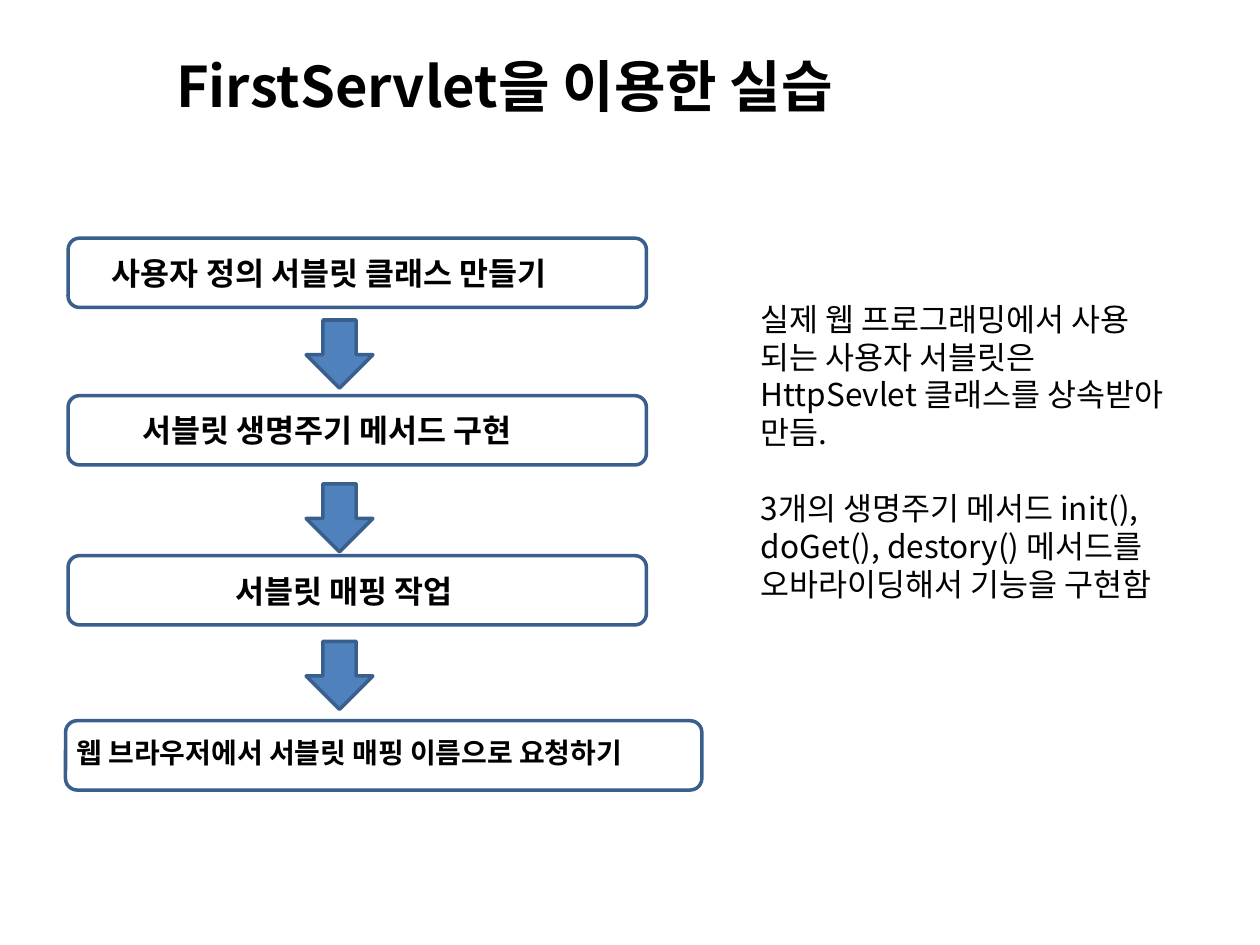
from lxml import etree
from pptx import Presentation
from pptx.dml.color import RGBColor
from pptx.enum.shapes import MSO_SHAPE
from pptx.enum.text import MSO_AUTO_SIZE
from pptx.oxml.ns import qn
from pptx.util import Inches, Pt

ROUNDED = MSO_SHAPE.ROUNDED_RECTANGLE
DOWN_ARROW = MSO_SHAPE.DOWN_ARROW
FIT_TEXT = MSO_AUTO_SIZE.SHAPE_TO_FIT_TEXT
FONT = "Noto Sans CJK KR"
BLACK, BLUE, OUTLINE = "000000", "4F81BD", "3A5F8C"

STEPS = [
    ("사용자 정의 서블릿 클래스 만들기", (0.54, 1.89, 4.59, 0.55), (0.25, 0.08, 4.09, 0.4), 18),
    ("서블릿 생명주기 메서드 구현", (0.54, 3.14, 4.59, 0.55), (0.49, 0.07, 3.5, 0.4), 18),
    ("서블릿 매핑 작업", (0.54, 4.41, 4.59, 0.55), (1.23, 0.08, 2.15, 0.4), 18),
    ("웹 브라우저에서 서블릿 매핑 이름으로 요청하기", (0.52, 5.72, 5.05, 0.55), (-0.01, 0.07, 5.08, 0.37), 16),
]
ARROW_TOPS = [2.54, 3.84, 5.09]
NOTES = [
    ["실제 웹 프로그래밍에서 사용", "되는 사용자 서블릿은", "HttpSevlet 클래스를 상속받아", "만듬."],
    ["3개의 생명주기 메서드 init(),", "doGet(), destory() 메서드를", "오바라이딩해서 기능을 구현함"],
]


def color(value):
    return RGBColor.from_string(value)


def lengths(box):
    return [Inches(value) for value in box]


def add_text(slide, box, groups, size, bold=False, group_gap=0):
    frame = slide.shapes.add_textbox(*lengths(box)).text_frame
    frame.word_wrap = False
    frame.auto_size = FIT_TEXT
    frame.text = "\n".join(line for group in groups for line in group)
    for paragraph in frame.paragraphs:
        font = paragraph.font
        font.name, font.size, font.bold = FONT, Pt(size), bold
        font.color.rgb = color(BLACK)
        properties = paragraph._p.pPr.find(qn("a:defRPr"))
        etree.SubElement(properties, qn("a:ea"), typeface=FONT)
    start = 0
    for group in groups[:-1]:
        start += len(group)
        frame.paragraphs[start].space_before = Pt(group_gap)


def add_outlined_shape(slide, kind, box, fill=None):
    shape = slide.shapes.add_shape(kind, *lengths(box))
    shape.shadow.inherit = False
    shape.line.color.rgb = color(OUTLINE)
    shape.line.width = Pt(2)
    if fill:
        shape.fill.solid()
        shape.fill.fore_color.rgb = color(fill)
    else:
        shape.fill.background()


def add_step(slide, box, label, label_box, size):
    left, top, width, height = label_box
    add_outlined_shape(slide, ROUNDED, box)
    add_text(slide, (box[0] + left, box[1] + top, width, height), [[label]], size, bold=True)


def add_flow(slide):
    for label, box, label_box, size in STEPS:
        add_step(slide, box, label, label_box, size)
    for top in ARROW_TOPS:
        add_outlined_shape(slide, DOWN_ARROW, (2.43, top, 0.53, 0.54), BLUE)


def main():
    presentation = Presentation()
    presentation.slide_width = Inches(10)
    presentation.slide_height = Inches(7.5)
    slide = presentation.slides.add_slide(presentation.slide_layouts[6])
    add_text(slide, (1.3, 0.36, 5.61, 0.64), [["FirstServlet을 이용한 실습"]], 32, bold=True)
    add_flow(slide)
    add_text(slide, (5.94, 2.33, 3.66, 2.52), NOTES, 18, group_gap=21.7)
    presentation.save("out.pptx")


if __name__ == "__main__":
    main()
